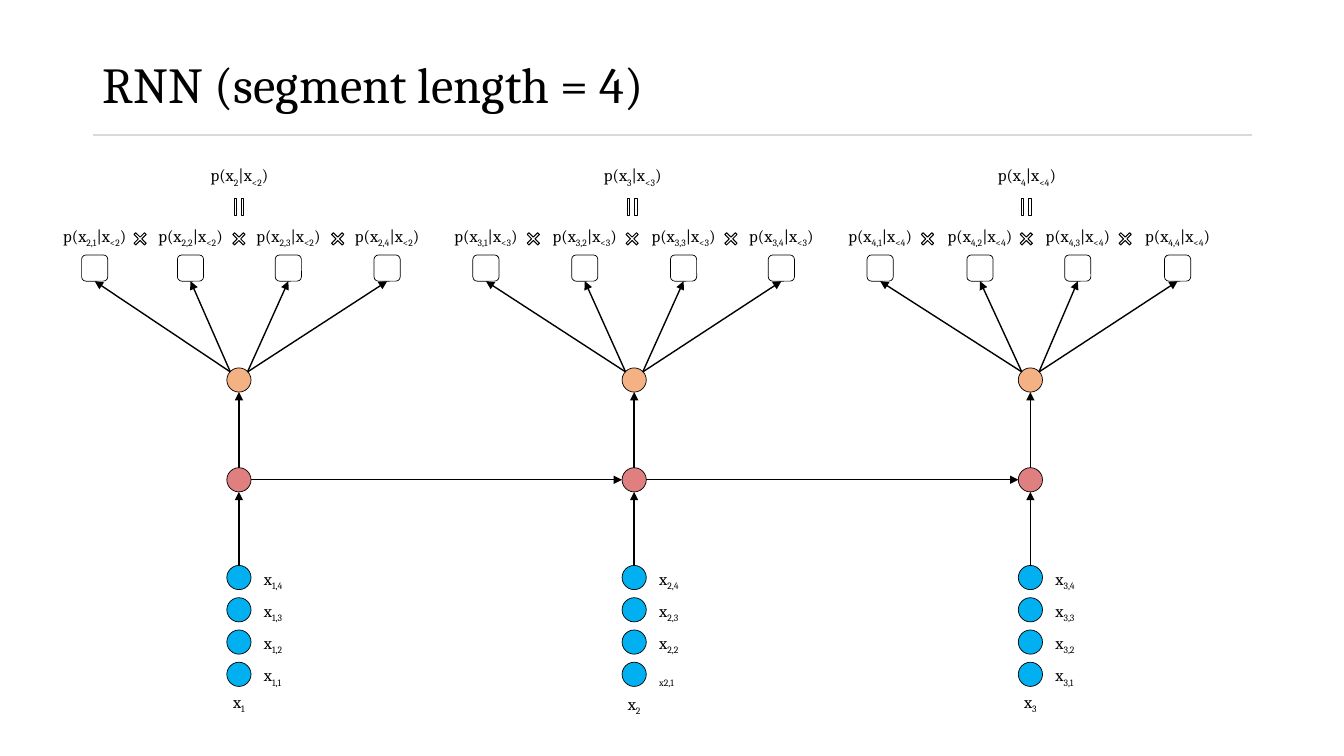
from dataclasses import dataclass

from lxml.etree import SubElement
from pptx import Presentation
from pptx.dml.color import RGBColor
from pptx.enum.shapes import MSO_CONNECTOR as Connector, MSO_SHAPE as Preset
from pptx.enum.text import MSO_ANCHOR as Anchor, MSO_AUTO_SIZE as AutoSize, PP_ALIGN as Align
from pptx.oxml.ns import qn
from pptx.shapes.autoshape import Shape
from pptx.util import Inches, Pt

COLORS = {
    "ink": "000000",
    "rule": "D9D9D9",
    "token": "00B0F0",
    "hidden": "C00000",
    "output": "F4B183",
}
FONT = "Cambria"
NODE = 0.24
BOX = 0.26
TIMES_SIZE = 0.2
TIMES_GAP = 0.98
OUTPUT_Y = 3.77
HIDDEN_Y = 4.76
TOKEN_Y = 5.73
TOKEN_GAP = 0.32
TOKEN_COUNT = 4
BOX_Y = 2.66
FAN_Y = 3.69
FAN_OFFSET = 0.085
LABEL_HEIGHT = 0.3


@dataclass(frozen=True)
class Segment:
    number: int
    node_x: float
    product_x: float
    box_xs: tuple[float, ...]
    caption_y: float
    first_token: str


SEGMENTS = [
    Segment(1, 2.37, 2.37, (0.94, 1.89, 2.86, 3.84), 6.81, "x_1,1"),
    Segment(2, 6.29, 6.27, (4.82, 5.8, 6.78, 7.75), 6.83, "_x2,1"),
    Segment(3, 10.22, 10.18, (8.73, 9.72, 10.69, 11.68), 6.81, "x_3,1"),
]

presentation = Presentation()
presentation.slide_width = Inches(13.33)
presentation.slide_height = Inches(7.5)
slide = presentation.slides.add_slide(presentation.slide_layouts[5])


def rgb(name: str) -> RGBColor:
    return RGBColor.from_string(COLORS[name])


def add_line(start: tuple[float, float], end: tuple[float, float],
             color: str = "ink", width: float = 1, arrow: bool = True) -> None:
    points = [Inches(value) for value in (*start, *end)]
    line = slide.shapes.add_connector(Connector.STRAIGHT, *points)
    line.line.color.rgb = rgb(color)
    line.line.width = Pt(width)
    properties = line._element.spPr
    if arrow:
        SubElement(properties.find(qn("a:ln")), qn("a:tailEnd"), type="triangle")
    SubElement(properties, qn("a:effectLst"))


def add_centered(preset: Preset, x: float, y: float, width: float, height: float,
                 fill: str | None = None, line_width: float = 0.5) -> Shape:
    shape = slide.shapes.add_shape(
        preset, Inches(x - width / 2), Inches(y - height / 2), Inches(width), Inches(height))
    shape.shadow.inherit = False
    if fill:
        shape.fill.solid()
        shape.fill.fore_color.rgb = rgb(fill)
    else:
        shape.fill.background()
    shape.line.color.rgb = rgb("ink")
    shape.line.width = Pt(line_width)
    return shape


def add_node(x: float, y: float, fill: str) -> Shape:
    return add_centered(Preset.OVAL, x, y, NODE, NODE, fill)


def add_label(text: str, left: float, top: float, width: float,
              align: Align = Align.CENTER) -> None:
    box = slide.shapes.add_textbox(Inches(left), Inches(top), Inches(width), Inches(LABEL_HEIGHT))
    frame = box.text_frame
    frame.word_wrap = False
    frame.auto_size = AutoSize.SHAPE_TO_FIT_TEXT
    paragraph = frame.paragraphs[0]
    paragraph.alignment = align
    for index, part in enumerate(text.split("_")):
        if not part:
            continue
        run = paragraph.add_run()
        run.text = part
        run.font.name = FONT
        run.font.size = Pt(12)
        run.font.color.rgb = rgb("ink")
        if index % 2:
            run._r.get_or_add_rPr().set("baseline", "-25000")


def add_title(text: str) -> None:
    title = slide.shapes.title
    title.left, title.top = Inches(0.92), Inches(0.4)
    title.width, title.height = Inches(11.5), Inches(0.93)
    frame = title.text_frame
    frame.text = text
    frame.auto_size = AutoSize.NONE
    frame.vertical_anchor = Anchor.MIDDLE
    paragraph = frame.paragraphs[0]
    paragraph.alignment = Align.LEFT
    paragraph.line_spacing = 0.9
    font = paragraph.runs[0].font
    font.name = FONT
    font.size = Pt(36)
    font.color.rgb = rgb("ink")
    add_line((0.92, 1.34), (12.42, 1.34), "rule", 2, arrow=False)


def add_tokens(segment: Segment) -> None:
    for row in range(TOKEN_COUNT):
        position = TOKEN_COUNT - row
        y = TOKEN_Y + row * TOKEN_GAP
        text = segment.first_token if position == 1 else f"x_{segment.number},{position}"
        add_node(segment.node_x, y, "token")
        add_label(text, segment.node_x + 0.15, y - 0.14, 0.44, Align.LEFT)
    add_label(f"x_{segment.number}", segment.node_x - 0.18, segment.caption_y, 0.36)


def add_states(segment: Segment) -> None:
    x = segment.node_x
    add_node(x, OUTPUT_Y, "output")
    hidden = add_node(x, HIDDEN_Y, "hidden")
    color = hidden._element.spPr.find(qn("a:solidFill")).find(qn("a:srgbClr"))
    SubElement(color, qn("a:alpha"), val="50000")
    add_line((x, TOKEN_Y - NODE / 2), (x, HIDDEN_Y + NODE / 2))
    add_line((x, HIDDEN_Y - NODE / 2), (x, OUTPUT_Y + NODE / 2))


def add_predictions(segment: Segment) -> None:
    target = segment.number + 1
    add_label(f"p(x_{target}_|x_<{target}_)", segment.product_x - 0.42, 1.59, 0.85)
    equal = add_centered(Preset.MATH_EQUAL, segment.product_x, 2.05, 0.23, 0.18, line_width=0.75)
    equal.rotation = 90
    equal.adjustments[0], equal.adjustments[1] = 0.127, 0.28
    for step in (-1, 0, 1):
        times = add_centered(Preset.MATH_MULTIPLY, segment.product_x + step * TIMES_GAP, 2.37,
                             TIMES_SIZE, TIMES_SIZE, line_width=0.75)
        times.adjustments[0] = 0.122
    for position, x in enumerate(segment.box_xs, start=1):
        add_label(f"p(x_{target},{position}_|x_<{target}_)", x - 0.47, 2.19, 0.94)
        add_centered(Preset.ROUNDED_RECTANGLE, x, BOX_Y, BOX, BOX)
        side = -1 if x < segment.node_x else 1
        add_line((segment.node_x + side * FAN_OFFSET, FAN_Y), (x, BOX_Y + BOX / 2))


add_title("RNN (segment length = 4)")
for segment in SEGMENTS:
    add_tokens(segment)
    add_states(segment)
    add_predictions(segment)
for current, following in zip(SEGMENTS, SEGMENTS[1:]):
    add_line((current.node_x + NODE / 2, HIDDEN_Y), (following.node_x - NODE / 2, HIDDEN_Y))

presentation.save("out.pptx")
